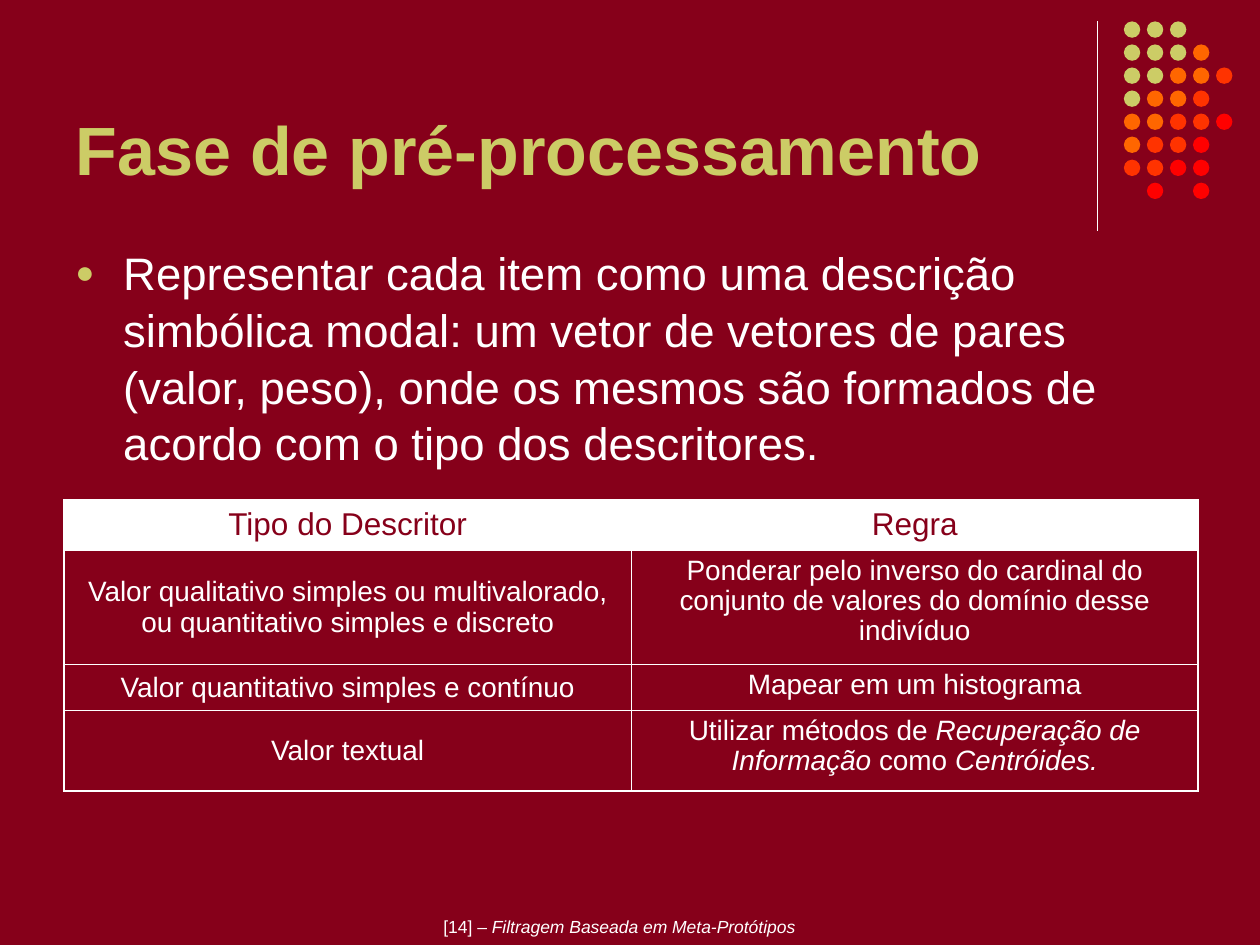
from lxml.etree import SubElement
from pptx import Presentation
from pptx.dml.color import RGBColor
from pptx.enum.shapes import MSO_CONNECTOR as Connector, MSO_SHAPE as Shape
from pptx.enum.text import MSO_ANCHOR as Anchor, PP_ALIGN as Align
from pptx.oxml import parse_xml
from pptx.oxml.ns import nsdecls, qn
from pptx.util import Inches, Pt

WINE = RGBColor(0x86, 0x00, 0x1A)
WHITE = RGBColor(0xFF, 0xFF, 0xFF)
OLIVE = RGBColor(0xCC, 0xCC, 0x66)
ORANGE = RGBColor(0xFF, 0x66, 0x00)
VERMILION = RGBColor(0xFF, 0x33, 0x00)
RED = RGBColor(0xFF, 0x00, 0x00)

DOT_COLORS = {"y": OLIVE, "o": ORANGE, "v": VERMILION, "r": RED}
DOT_ROWS = ["yyy", "yyyo", "yyoov", "yoov", "oovvr", "ovvr", "vvrr", " r r"]
DOT_PITCH = 1.28 / 7

TABLE_ROWS = [
    ("Tipo do Descritor", "Regra"),
    ("Valor qualitativo simples ou multivalorado, ou quantitativo simples e discreto",
     "Ponderar pelo inverso do cardinal do conjunto de valores do domínio desse indivíduo"),
    ("Valor quantitativo simples e contínuo", "Mapear em um histograma"),
    ("Valor textual",
     "Utilizar métodos de *Recuperação de Informação* como *Centróides.*"),
]
ROW_HEIGHTS = [0.4, 0.9, 0.37, 0.64]


class SlideBuilder:
    font_name = "Arial"

    def __init__(self, presentation):
        self.slide = presentation.slides.add_slide(presentation.slide_layouts[5])
        self.slide.background.fill.solid()
        self.slide.background.fill.fore_color.rgb = WINE

    def fill_text(self, frame, text, size, color=WHITE, align=Align.LEFT, before=0):
        frame.word_wrap = True
        paragraph = frame.paragraphs[0]
        paragraph.alignment = align
        paragraph.space_before = Pt(before)
        font = paragraph.font
        font.name, font.size, font.color.rgb = self.font_name, Pt(size), color
        for index, part in enumerate(text.split("*")):
            if part:
                run = paragraph.add_run()
                run.text = part
                if index % 2:
                    run.font.italic = True
        return paragraph

    def title(self, text, box):
        title = self.slide.shapes.title
        title.left, title.top, title.width, title.height = map(Inches, box)
        title.text_frame.vertical_anchor = Anchor.BOTTOM
        self.fill_text(title.text_frame, text, 39, OLIVE).font.bold = True

    def text(self, text, box, size, **style):
        shape = self.slide.shapes.add_textbox(*map(Inches, box))
        return self.fill_text(shape.text_frame, text, size, **style)

    def bullet(self, text, box, size):
        paragraph = self.text(text, box, size, before=6.5)
        paragraph.line_spacing = 1.04
        properties = paragraph._p.get_or_add_pPr()
        properties.set("marL", str(Inches(0.38)))
        properties.set("indent", str(-Inches(0.38)))
        markers = [parse_xml(f'<a:{tag} {nsdecls("a")} {attributes}')
                   for tag, attributes in (
                       ("buClr", f'><a:srgbClr val="{OLIVE}"/></a:buClr>'),
                       ("buSzPct", 'val="70000"/>'),
                       ("buFont", f'typeface="{self.font_name}"/>'),
                       ("buChar", 'char="●"/>'))]
        position = len(properties)
        default_run = properties.find(qn("a:defRPr"))
        if default_run is not None:
            position = properties.index(default_run)
        properties[position:position] = markers

    def line(self, x, top, bottom):
        line = self.slide.shapes.add_connector(
            Connector.STRAIGHT, Inches(x), Inches(top), Inches(x), Inches(bottom))
        line.line.color.rgb = WHITE
        line.line.width = Pt(0.74)
        SubElement(line._element.spPr, qn("a:effectLst"))

    def dot(self, left, top, color):
        dot = self.slide.shapes.add_shape(
            Shape.OVAL, Inches(left), Inches(top), Inches(0.13), Inches(0.13))
        dot.shadow.inherit = False
        dot.fill.solid()
        dot.fill.fore_color.rgb = color
        dot.line.fill.background()

    def borders(self, cell, outer_sides):
        properties = cell._tc.get_or_add_tcPr()
        for index, side in enumerate("LRTB"):
            width = Pt(1.08 if side in outer_sides else 0.45)
            properties.insert(index, parse_xml(
                f'<a:ln{side} {nsdecls("a")} w="{width}"><a:solidFill>'
                f'<a:srgbClr val="{WHITE}"/></a:solidFill></a:ln{side}>'))

    def table(self, rows, heights, box):
        table = self.slide.shapes.add_table(
            len(rows), len(rows[0]), *map(Inches, box)).table
        for row_index, texts in enumerate(rows):
            table.rows[row_index].height = Inches(heights[row_index])
            header = row_index == 0
            for column_index, text in enumerate(texts):
                cell = table.cell(row_index, column_index)
                cell.fill.solid()
                cell.fill.fore_color.rgb = WHITE if header else WINE
                paragraph = self.fill_text(
                    cell.text_frame, text, 18 if header else 16,
                    WINE if header else WHITE, Align.CENTER, 4.5 if header else 4)
                paragraph.font.bold = False
                if not header and column_index == 0:
                    cell.vertical_anchor = Anchor.MIDDLE
                elif not header:
                    paragraph.line_spacing = 0.96
                outer_sides = "LR"[column_index]
                if header:
                    outer_sides += "T"
                elif row_index == len(rows) - 1:
                    outer_sides += "B"
                self.borders(cell, outer_sides)


presentation = Presentation()
presentation.slide_width = Inches(10)
presentation.slide_height = Inches(7.5)

builder = SlideBuilder(presentation)
builder.line(8.71, 0.17, 1.83)
for row, codes in enumerate(DOT_ROWS):
    for column, code in enumerate(codes):
        if code in DOT_COLORS:
            builder.dot(8.92 + column * DOT_PITCH, 0.17 + row * DOT_PITCH,
                        DOT_COLORS[code])
builder.title("Fase de pré-processamento", (0.5, 0.13, 8.25, 1.42))
builder.bullet(
    "Representar cada item como uma descrição simbólica modal: um vetor de vetores "
    "de pares (valor, peso), onde os mesmos são formados de acordo com o tipo dos "
    "descritores.", (0.5, 1.88, 9, 4.82), 26)
builder.table(TABLE_ROWS, ROW_HEIGHTS, (0.51, 3.97, 9, 2.3))
builder.text("[14] – *Filtragem Baseada em Meta-Protótipos*",
             (3.33, 7.22, 3.17, 0.16), 10, align=Align.CENTER)
presentation.save("out.pptx")
